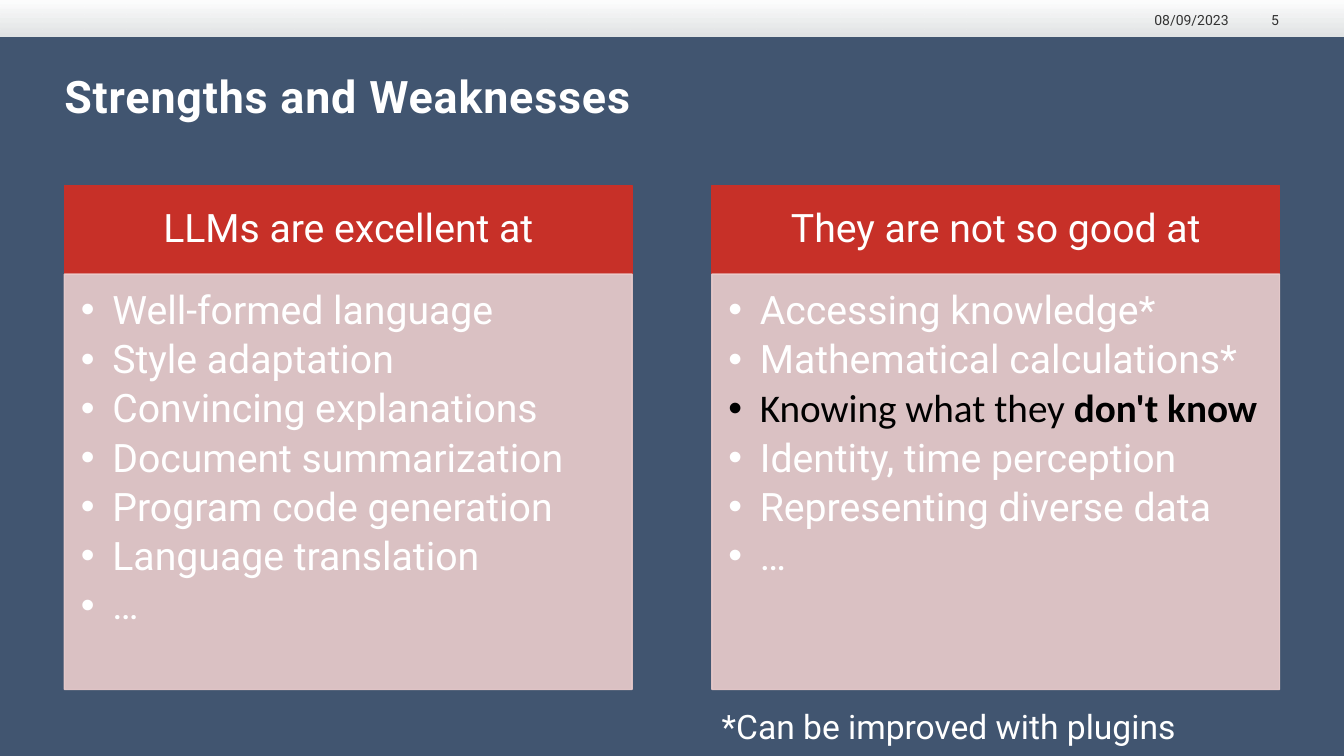
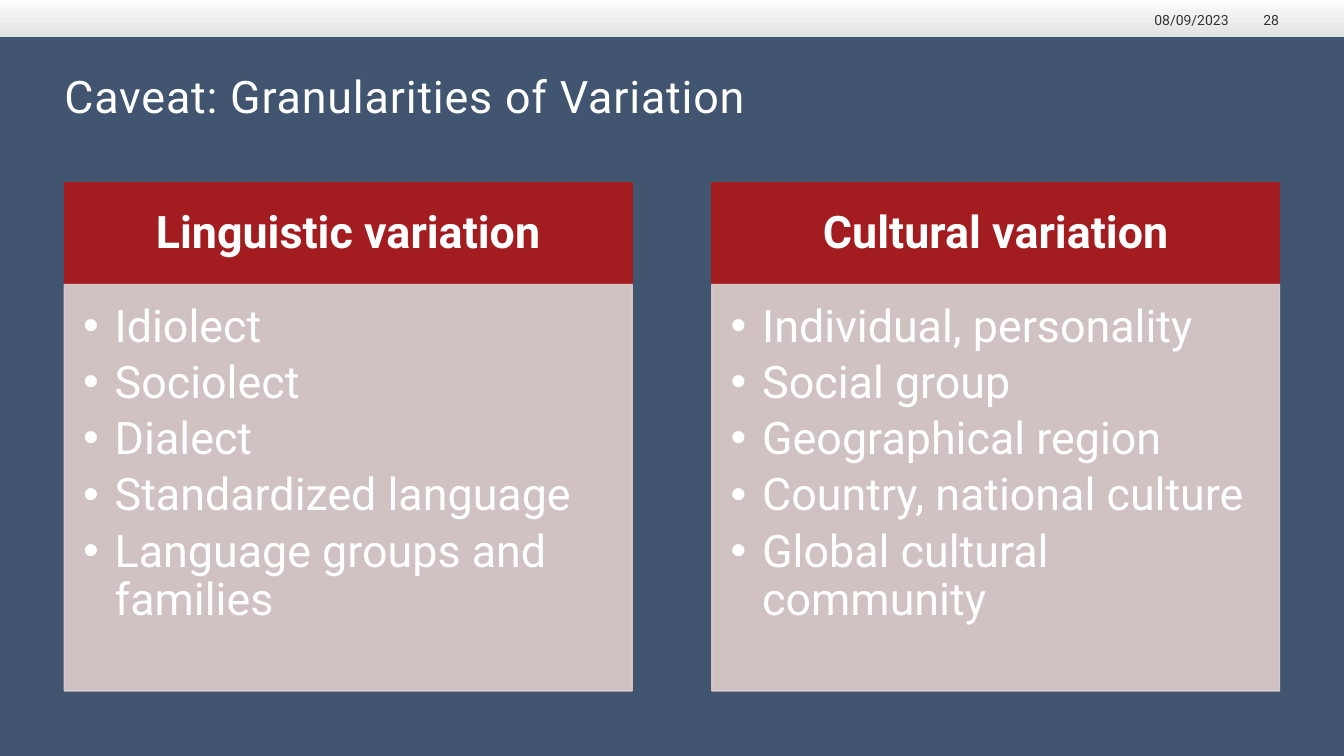
import pptx
import pptx.dml.color
import pptx.enum.shapes
import pptx.enum.text
import pptx.oxml.ns
import pptx.util
from lxml import etree

Pt = pptx.util.Pt
RGBColor = pptx.dml.color.RGBColor
ALIGN = pptx.enum.text.PP_ALIGN
ANCHOR = pptx.enum.text.MSO_ANCHOR
RECTANGLE = pptx.enum.shapes.MSO_SHAPE.RECTANGLE
qn = pptx.oxml.ns.qn

# Shared colours and font
NAVY = RGBColor(0x41, 0x55, 0x70)
WHITE = RGBColor(0xFF, 0xFF, 0xFF)
BLACK = RGBColor(0, 0, 0)
DARK_GREY = RGBColor(0x33, 0x33, 0x33)
BAND_GREY = RGBColor(0xEE, 0xEF, 0xEE)
RED = RGBColor(0xC7, 0x30, 0x28)
PALE_RED = RGBColor(0xEB, 0xCD, 0xCD)
DARK_RED = RGBColor(0xA3, 0x1D, 0x20)
DUSTY_RED = RGBColor(0xE0, 0xCD, 0xCD)
FONT = "Roboto"

# Shared grid, in points
SLIDE_WIDTH, SLIDE_HEIGHT = 960, 540
MARGIN = 46
BAND_HEIGHT = 26
COLUMN_WIDTH = 405.5
COLUMN_STEP = SLIDE_WIDTH - 2 * MARGIN - COLUMN_WIDTH
BULLET_INDENT = 22.5

# Content: an item is a text, or a list of (text, font values) runs
SLIDES = [
    {
        "title": "Strengths and Weaknesses", "title_bold": True,
        "date": "08/09/2023", "number": "5",
        "size": 28, "heading_bold": False,
        "heading_color": RED, "body_color": PALE_RED,
        "rows": (132.5, 195.8, 492.5),
        "columns": [
            ("LLMs are excellent at",
             ["Well-formed language", "Style adaptation", "Convincing explanations",
              "Document summarization", "Program code generation",
              "Language translation", "…"]),
            ("They are not so good at",
             ["Accessing knowledge*", "Mathematical calculations*",
              [("Knowing what they ", {"name": "Calibri"}),
               ("don't know", {"name": "Calibri", "bold": True})],
              "Identity, time perception", "Representing diverse data", "…"]),
        ],
        "footnote": "*Can be improved with plugins",
    },
    {
        "title": "Caveat: Granularities of Variation", "title_bold": False,
        "date": "08/09/2023", "number": "28",
        "size": 32, "heading_bold": True,
        "heading_color": DARK_RED, "body_color": DUSTY_RED,
        "rows": (130.7, 203.2, 493.5),
        "columns": [
            ("Linguistic variation",
             ["Idiolect", "Sociolect", "Dialect", "Standardized language",
              "Language groups and families"]),
            ("Cultural variation",
             ["Individual, personality", "Social group", "Geographical region",
              "Country, national culture", "Global cultural community"]),
        ],
    },
]


def assign(target, values):
    for name, value in values.items():
        setattr(target, name, value)


def set_alpha(color_element, percent):
    etree.SubElement(color_element, qn("a:alpha")).set("val", str(percent * 1000))


def set_frame(shape, insets=(0, 0, 0, 0), anchor=ANCHOR.TOP):
    sides = ("margin_left", "margin_top", "margin_right", "margin_bottom")
    frame = shape.text_frame
    assign(frame, {"word_wrap": True, "vertical_anchor": anchor})
    assign(frame, {side: Pt(inset) for side, inset in zip(sides, insets)})
    return frame


def add_run(paragraph, text, size, color=WHITE, **values):
    run = paragraph.add_run()
    run.text = text
    assign(run.font, {"name": FONT, "size": Pt(size), "bold": False, **values})
    run.font.color.rgb = color
    return run


def add_rectangle(slide, left, top, width, height):
    shape = slide.shapes.add_shape(RECTANGLE, Pt(left), Pt(top), Pt(width), Pt(height))
    shape.shadow.inherit = False
    return shape


def add_panel(slide, left, top, width, height, color):
    panel = add_rectangle(slide, left, top, width, height)
    panel.fill.solid()
    panel.fill.fore_color.rgb = color
    panel.line.color.rgb = color
    panel.line.width = Pt(1)
    return panel


def add_label(slide, box, text, size, color=WHITE, align=ALIGN.LEFT,
              anchor=ANCHOR.TOP, **values):
    shape = slide.shapes.add_textbox(*map(Pt, box))
    paragraph = set_frame(shape, anchor=anchor).paragraphs[0]
    paragraph.alignment = align
    return add_run(paragraph, text, size, color, **values)


def add_bullet(paragraph):
    properties = paragraph._p.get_or_add_pPr()
    properties.set("marL", str(Pt(BULLET_INDENT)))
    properties.set("indent", str(-Pt(BULLET_INDENT)))
    etree.SubElement(properties, qn("a:buFont")).set("typeface", "Arial")
    etree.SubElement(properties, qn("a:buChar")).set("char", "•")


def add_column(slide, content, left, heading, items):
    size = content["size"]
    heading_top, body_top, bottom = content["rows"]

    # Heading
    panel = add_panel(slide, left, heading_top, COLUMN_WIDTH, body_top - heading_top,
                      content["heading_color"])
    paragraph = set_frame(panel, anchor=ANCHOR.MIDDLE).paragraphs[0]
    assign(paragraph, {"alignment": ALIGN.CENTER, "line_spacing": 0.9})
    add_run(paragraph, heading, size, bold=content["heading_bold"])

    # Translucent body with its bullets
    panel = add_panel(slide, left, body_top, COLUMN_WIDTH, bottom - body_top,
                      content["body_color"])
    for color_element in list(panel._element.spPr.iter(qn("a:srgbClr"))):
        set_alpha(color_element, 90)
    frame = set_frame(panel, [size * part for part in (0.42, 0.42, 0.5, 0.5)])
    for index, item in enumerate(items):
        paragraph = frame.add_paragraph() if index else frame.paragraphs[0]
        add_bullet(paragraph)
        assign(paragraph, {"alignment": ALIGN.LEFT, "level": 1, "line_spacing": 0.9,
                           "space_after": Pt(size * 0.175)})
        if isinstance(item, str):
            add_run(paragraph, item, size)
        else:
            for text, values in item:
                add_run(paragraph, text, size, BLACK, **values)


def add_frame_parts(slide, content):
    # Background and top band
    slide.background.fill.solid()
    slide.background.fill.fore_color.rgb = NAVY
    band = add_rectangle(slide, 0, 0, SLIDE_WIDTH, BAND_HEIGHT)
    band.line.fill.background()
    band.fill.gradient()
    band.fill.gradient_angle = 270
    for stop, color in zip(band.fill.gradient_stops, (WHITE, BAND_GREY)):
        stop.color.rgb = color
    set_alpha(list(band._element.spPr.iter(qn("a:srgbClr")))[-1], 93)

    # Title
    title = add_label(slide, (MARGIN, 49, SLIDE_WIDTH - 2 * MARGIN, 68),
                      content["title"], 32, bold=content["title_bold"])
    title._r.get_or_add_rPr().set("spc", "60")

    # Date and slide number
    for key, left, width in (("date", 813.6, 64), ("number", 883.6, 30)):
        add_label(slide, (left, 6.5, width, 13.7), content[key], 10, DARK_GREY,
                  ALIGN.RIGHT, ANCHOR.BOTTOM)


def main():
    presentation = pptx.Presentation()
    assign(presentation, {"slide_width": Pt(SLIDE_WIDTH), "slide_height": Pt(SLIDE_HEIGHT)})
    for content in SLIDES:
        slide = presentation.slides.add_slide(presentation.slide_layouts[6])
        add_frame_parts(slide, content)
        for index, (heading, items) in enumerate(content["columns"]):
            add_column(slide, content, MARGIN + index * COLUMN_STEP, heading, items)
        if "footnote" in content:
            add_label(slide, (515.5, 504, 362, 29), content["footnote"], 24)
    presentation.save("out.pptx")


if __name__ == "__main__":
    main()
